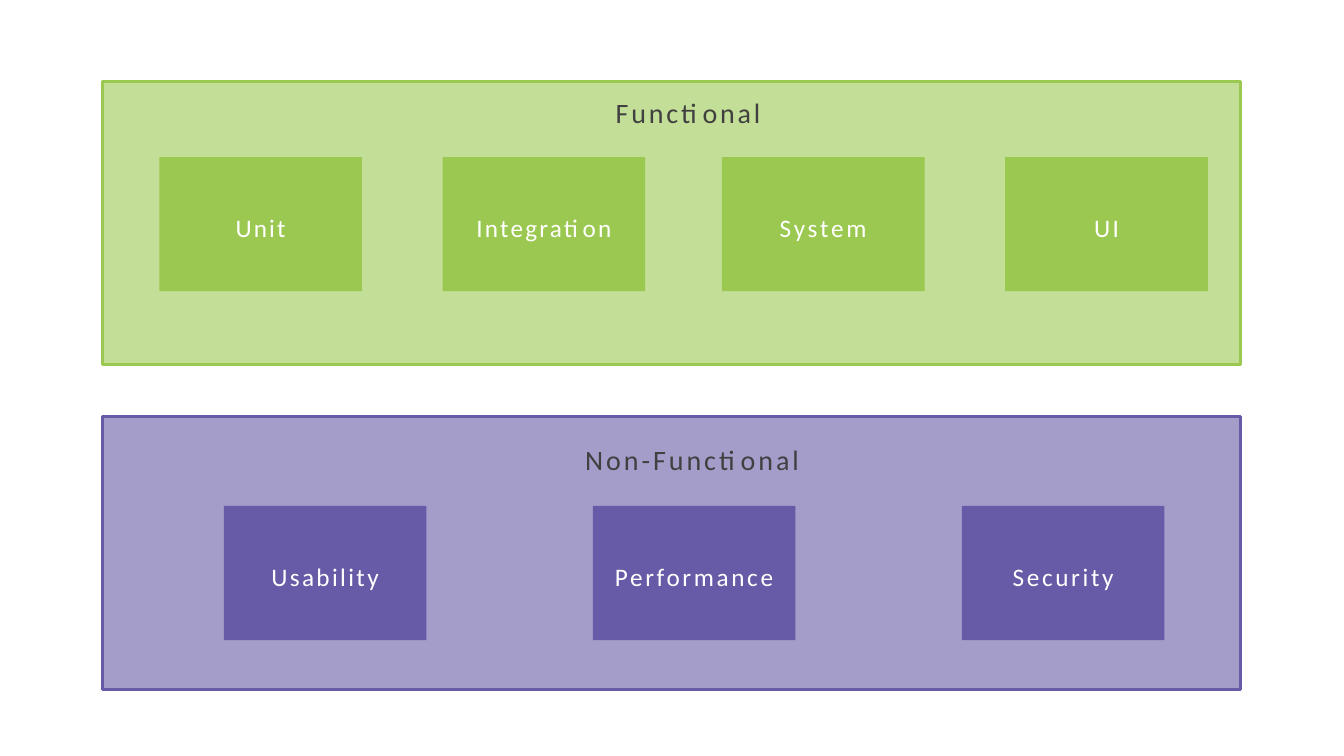
"""Build a slide of functional and non-functional test types."""
import pptx
import pptx.util
import pptx.dml.color
import pptx.enum.shapes
import pptx.enum.text

Inches, Pt = pptx.util.Inches, pptx.util.Pt
Anchor = pptx.enum.text.MSO_ANCHOR

LEFT, WIDE = 1.02, 11.28
CARD_WIDE, CARD_HIGH = 2.01, 1.33
GROUPS = [
    dict(title="Functional", top=0.81, high=2.81, pale="C3DE96", dark="9BC850",
         inset=(0.33, 0.14), space=2, row=1.56,
         cards=[("Unit", 1.58, 1.5), ("Integration", 4.39, 1.6),
                ("System", 7.16, 2), ("UI", 9.97, 1.6)]),
    dict(title="Non-Functional", top=4.13, high=2.71, pale="A49DCA", dark="675BA7",
         inset=(0.41, 0.26), space=2.1, row=5.02,
         cards=[("Usability", 2.22, 1.7), ("Performance", 5.88, 1.9),
                ("Security", 9.54, 1.9)]),
]


def color(code):
    return pptx.dml.color.RGBColor.from_string(code)


def add_box(slide, place, fill, line=None):
    kind = pptx.enum.shapes.MSO_SHAPE.RECTANGLE
    box = slide.shapes.add_shape(kind, *map(Inches, place))
    box.shadow.inherit = False
    box.fill.solid()
    box.fill.fore_color.rgb = color(fill)
    if line:
        box.line.color.rgb = color(line)
        box.line.width = Pt(2)
    else:
        box.line.fill.background()
    return box


def add_text(box, text, size, ink, space, inset, anchor):
    frame = box.text_frame
    frame.word_wrap = True
    frame.vertical_anchor = anchor
    frame.margin_left, frame.margin_top = map(Inches, inset)
    frame.margin_right = frame.margin_bottom = 0
    para = frame.paragraphs[0]
    para.alignment = pptx.enum.text.PP_ALIGN.CENTER
    run = para.add_run()
    run.text = text
    run.font.name = "Calibri"
    run.font.size = Pt(size)
    run.font.color.rgb = color(ink)
    run.font._element.set("spc", str(round(space * 100)))


deck = pptx.Presentation()
deck.slide_width, deck.slide_height = Inches(13.33), Inches(7.5)
slide = deck.slides.add_slide(deck.slide_layouts[6])

for group in GROUPS:
    place = (LEFT, group["top"], WIDE, group["high"])
    panel = add_box(slide, place, group["pale"], group["dark"])
    add_text(panel, group["title"], 20, "404040", group["space"],
             group["inset"], Anchor.TOP)
    for name, left, space in group["cards"]:
        place = (left, group["row"], CARD_WIDE, CARD_HIGH)
        card = add_box(slide, place, group["dark"])
        add_text(card, name, 18, "FFFFFF", space, (0, 0.06), Anchor.MIDDLE)

deck.save("out.pptx")
